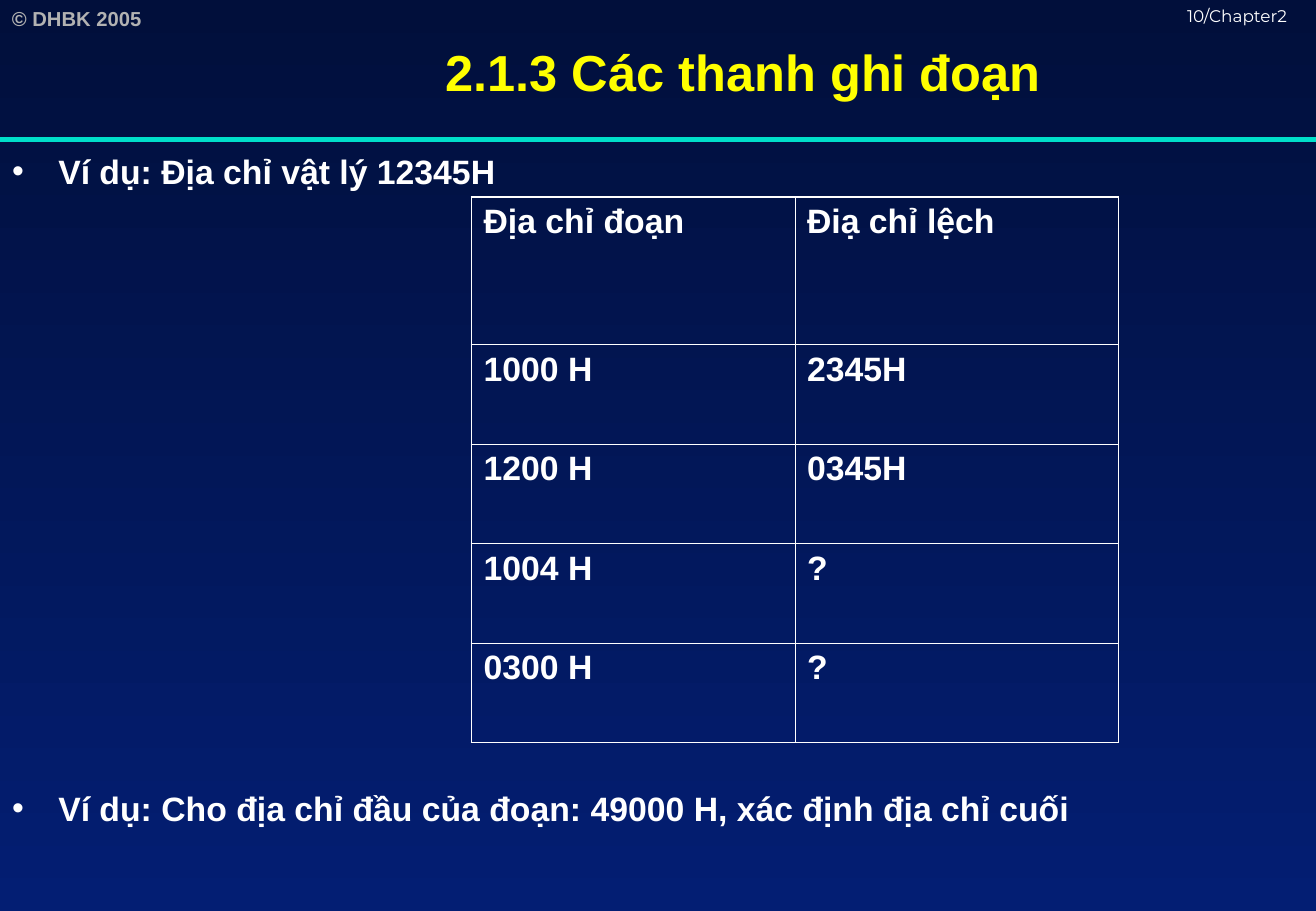
from lxml import etree
from pptx import Presentation
from pptx.dml.color import RGBColor
from pptx.enum.dml import MSO_FILL
from pptx.enum.shapes import MSO_CONNECTOR
from pptx.enum.text import MSO_ANCHOR, MSO_AUTO_SIZE, PP_ALIGN
from pptx.oxml.ns import qn
from pptx.util import Pt

STRAIGHT = MSO_CONNECTOR.STRAIGHT
MIDDLE, TOP = MSO_ANCHOR.MIDDLE, MSO_ANCHOR.TOP
CENTER, LEFT = PP_ALIGN.CENTER, PP_ALIGN.LEFT
NO_FIT = MSO_AUTO_SIZE.NONE

TITLE = "2.1.3 Các thanh ghi đoạn"
EXAMPLES = [
    ("Ví dụ: Địa chỉ vật lý 12345H", 0),
    ("Ví dụ: Cho địa chỉ đầu của đoạn: 49000 H, xác định địa chỉ cuối", 354),
]
ADDRESSES = [
    ("Địa chỉ đoạn", "Điạ chỉ lệch"),
    ("1000 H", "2345H"),
    ("1200 H", "0345H"),
    ("1004 H", "?"),
    ("0300 H", "?"),
]
COLORS = {
    "top": "010F3B", "bottom": "031E73", "rule": "00DFCA",
    "title": "FFFF00", "text": "FFFFFF", "copyright": "B2B2B2",
}
FORMATS = {
    "title": {"size": Pt(30), "name": "Arial", "bold": True},
    "text": {"size": Pt(20), "name": "Arial", "bold": True},
    "copyright": {"size": Pt(12), "name": "Arial", "bold": True},
    "page": {"size": Pt(10), "name": "Montserrat", "bold": False},
}
LABELS = [
    ("© DHBK 2005", "copyright", "copyright", (0, 0, 113, 21.6)),
    ("10/Chapter2", "page", "text", (696.96, 0, 83.5, 18)),
]
WIDTH, HEIGHT = 780.48, 540
RULE_Y = 82.8
TITLE_BOX = (101.52, 0, 678.96, 84.24)
BODY_BOX = (0, 85.5, 780, 454.5)
TABLE_LEFT, TABLE_TOP, COL_WIDTH = 279.6, 116.8, 191.9
ROW_HEIGHTS = [87.4] + [59] * 4
INDENT = 27.36
THICK, THIN = 1.08, 0.45


def rgb(key):
    return RGBColor.from_string(COLORS[key])


def write(p, text, style, color):
    r = p.add_run()
    r.text = text
    for name, value in FORMATS[style].items():
        setattr(r.font, name, value)
    r.font.color.rgb = rgb(color)


def place(sp, box):
    sp.left, sp.top, sp.width, sp.height = map(Pt, box)


def add_bullet(p):
    pPr = p._p.get_or_add_pPr()
    pPr.set("marL", str(Pt(INDENT)))
    pPr.set("indent", str(-Pt(INDENT)))
    color = etree.SubElement(pPr, qn("a:buClr"))
    etree.SubElement(color, qn("a:srgbClr"), val=COLORS["text"])
    etree.SubElement(pPr, qn("a:buFont"), typeface="Arial")
    etree.SubElement(pPr, qn("a:buChar"), char="•")


def add_borders(cell, widths):
    tcPr = cell._tc.get_or_add_tcPr()
    for i, (side, width) in enumerate(widths.items()):
        ln = etree.Element(qn("a:" + side), w=str(Pt(width)))
        fill = etree.SubElement(ln, qn("a:solidFill"))
        etree.SubElement(fill, qn("a:srgbClr"), val=COLORS["text"])
        tcPr.insert(i, ln)


def add_header(s):
    for text, style, color, box in LABELS:
        sp = s.shapes.add_textbox(*map(Pt, box))
        sp.text_frame.word_wrap = True
        write(sp.text_frame.paragraphs[0], text, style, color)
    rule = s.shapes.add_connector(STRAIGHT, 0, Pt(RULE_Y), Pt(WIDTH), Pt(RULE_Y))
    rule.line.color.rgb = rgb("rule")
    rule.line.width = Pt(3)
    etree.SubElement(rule._element.spPr, qn("a:effectLst"))


def fill_placeholders(s):
    title, body = s.shapes.title, s.placeholders[1]
    for sp, box, anchor in ((title, TITLE_BOX, MIDDLE), (body, BODY_BOX, TOP)):
        place(sp, box)
        sp.text_frame.auto_size = NO_FIT
        sp.text_frame.vertical_anchor = anchor
    p = title.text_frame.paragraphs[0]
    p.alignment = CENTER
    write(p, TITLE, "title", "title")
    tf = body.text_frame
    for i, (text, gap) in enumerate(EXAMPLES):
        p = tf.add_paragraph() if i else tf.paragraphs[0]
        p.alignment = LEFT
        p.space_before = Pt(gap)
        add_bullet(p)
        write(p, text, "text", "text")


def add_addresses(s):
    rows, cols = len(ADDRESSES), len(ADDRESSES[0])
    table = s.shapes.add_table(
        rows, cols, Pt(TABLE_LEFT), Pt(TABLE_TOP),
        Pt(COL_WIDTH * cols), Pt(sum(ROW_HEIGHTS))).table
    table.first_row = table.horz_banding = False
    for col in table.columns:
        col.width = Pt(COL_WIDTH)
    for i, height in enumerate(ROW_HEIGHTS):
        table.rows[i].height = Pt(height)
        for j, text in enumerate(ADDRESSES[i]):
            cell = table.cell(i, j)
            cell.fill.background()
            write(cell.text_frame.paragraphs[0], text, "text", "text")
            add_borders(cell, {
                "lnL": THICK if j == 0 else THIN,
                "lnR": THICK if j == cols - 1 else THIN,
                "lnT": THICK if i == 0 else THIN,
                "lnB": THICK if i == rows - 1 else THIN,
            })


def main():
    prs = Presentation()
    prs.slide_width, prs.slide_height = Pt(WIDTH), Pt(HEIGHT)
    s = prs.slides.add_slide(prs.slide_layouts[1])
    fill = s.background.fill
    fill.gradient()
    fill.gradient_angle = 270
    for stop, key in zip(fill.gradient_stops, ("top", "bottom")):
        stop.color.rgb = rgb(key)
    add_header(s)
    fill_placeholders(s)
    add_addresses(s)
    prs.save("out.pptx")


if __name__ == "__main__":
    main()
